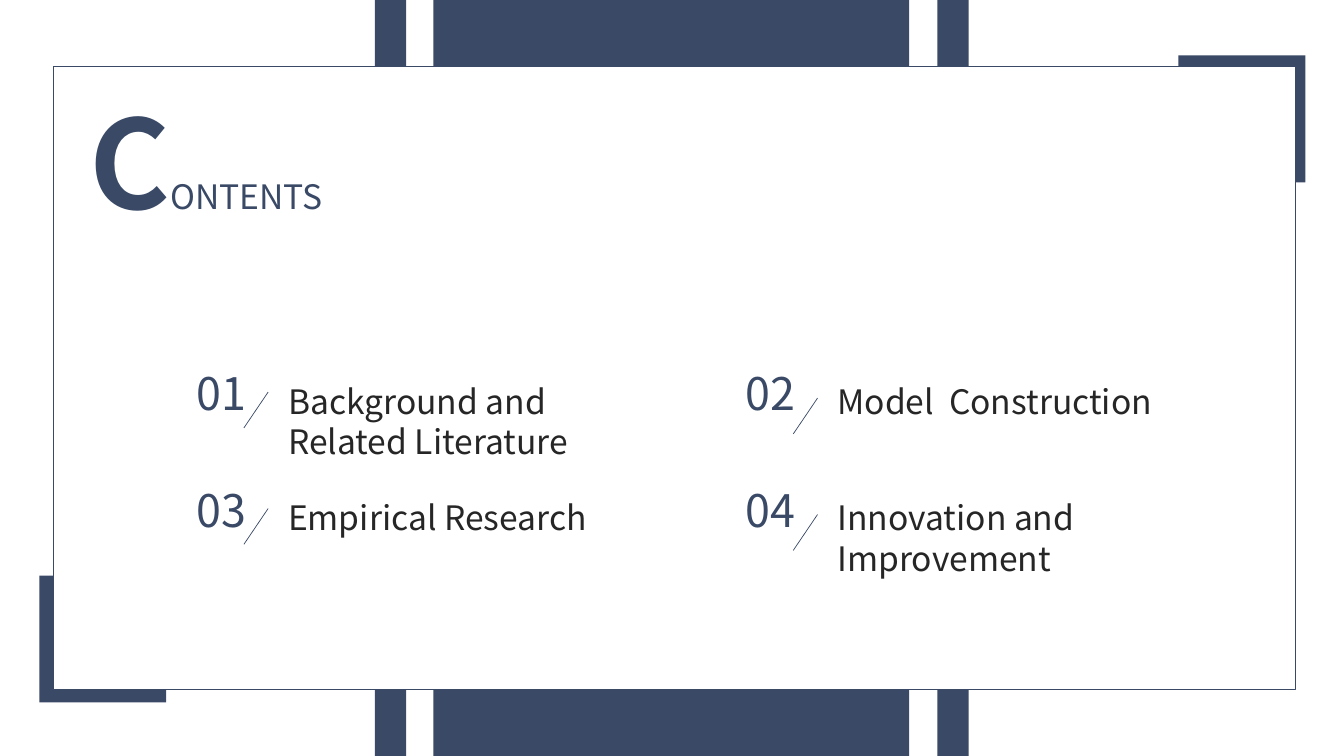
"""Build a contents slide with a framed panel and four numbered topics."""
from typing import NamedTuple

from lxml.etree import SubElement
from pptx import Presentation
from pptx.dml.color import RGBColor as Rgb
from pptx.enum.shapes import MSO_CONNECTOR as Link, MSO_SHAPE as Form
from pptx.enum.text import MSO_AUTO_SIZE as Fit, PP_ALIGN as Align
from pptx.oxml.ns import qn
from pptx.util import Inches, Pt

HUES = {"navy": "394966", "white": "FFFFFF", "ink": "262626"}
FONT = "Noto Sans CJK SC"
COLS, ROWS = 133.33, 75
CELL = Inches(0.1)


class Box(NamedTuple):
    """An area in grid columns and rows."""
    left: float
    top: float
    wide: float
    tall: float


class Span(NamedTuple):
    """A run of text with its look."""
    text: str
    size: int
    hue: str
    bold: bool = False


class Topic(NamedTuple):
    """A numbered entry with its text area and slash drop."""
    name: str
    wide: float
    tall: float
    slash: float


def grid(*cells: float) -> list[int]:
    """Turn grid counts into lengths."""
    return [round(cell * CELL) for cell in cells]


def tint(hue: str) -> Rgb:
    """Look up a colour by name."""
    return Rgb.from_string(HUES[hue])


def block(box: Box, hue: str, edge: bool = False) -> None:
    """Draw a filled rectangle, with a thin edge if asked."""
    shape = slide.shapes.add_shape(Form.RECTANGLE, *grid(*box))
    shape.shadow.inherit = False
    shape.fill.solid()
    shape.fill.fore_color.rgb = tint(hue)
    if edge:
        shape.line.color.rgb = tint("navy")
        shape.line.width = Pt(1)
    else:
        shape.line.fill.background()


def label(box: Box, spans: list[Span], align: Align = Align.LEFT) -> None:
    """Write one paragraph of spans."""
    frame = slide.shapes.add_textbox(*grid(*box)).text_frame
    frame.word_wrap = True
    frame.auto_size = Fit.SHAPE_TO_FIT_TEXT
    para = frame.paragraphs[0]
    para.alignment = align
    for span in spans:
        run = para.add_run()
        run.text = span.text
        font = run.font
        font.name, font.size, font.bold = FONT, Pt(span.size), span.bold
        font.color.rgb = tint(span.hue)


def stroke(left: float, top: float) -> None:
    """Draw the slash between a number and its topic."""
    ends = grid(left + 2.4, top, left, top + 3.55)
    line = slide.shapes.add_connector(Link.STRAIGHT, *ends)
    line.line.color.rgb = tint("navy")
    line.line.width = Pt(0.5)
    SubElement(line._element.spPr, qn("a:effectLst"))


def entry(rank: int, topic: Topic) -> None:
    """Place a topic in the two-column list."""
    row, col = divmod(rank, 2)
    left, top = 18.5 + col * 54.5, 35.8 + row * 11.55
    label(Box(left, top, 9.5, 6.4), [Span(f"{rank + 1:02}", 32, "navy")])
    label(Box(left + 9.1, top + 1.5, topic.wide, topic.tall),
          [Span(topic.name, 24, "ink")])
    stroke(left + 5.7, top + topic.slash)


deck = Presentation()
deck.slide_width, deck.slide_height = grid(COLS, ROWS)
slide = deck.slides.add_slide(deck.slide_layouts[6])

BANDS = [(93, 3.1), (37.2, 3.1), (43, 47.2)]
CORNERS = [(3.9, 57.1), (116.9, 5.5)]
TOPICS = [
    Topic("Background and Related Literature", 32.4, 9.1, 3.1),
    Topic("Model  Construction", 36.1, 5, 3.7),
    Topic("Empirical Research", 40, 5, 3.1),
    Topic("Innovation and Improvement", 29.5, 9.1, 3.7),
]

for left, wide in BANDS:
    block(Box(left, 0, wide, ROWS), "navy")
for left, top in CORNERS:
    block(Box(left, top, 12.6, 12.6), "navy")
block(Box(5.3, 6.6, 123.2, 61.8), "white", edge=True)
label(Box(2.3, 8.1, 36.3, 15.8),
      [Span("C", 88, "navy", True), Span("ONTENTS", 24, "navy")], Align.CENTER)
for rank, topic in enumerate(TOPICS):
    entry(rank, topic)

deck.save("out.pptx")
